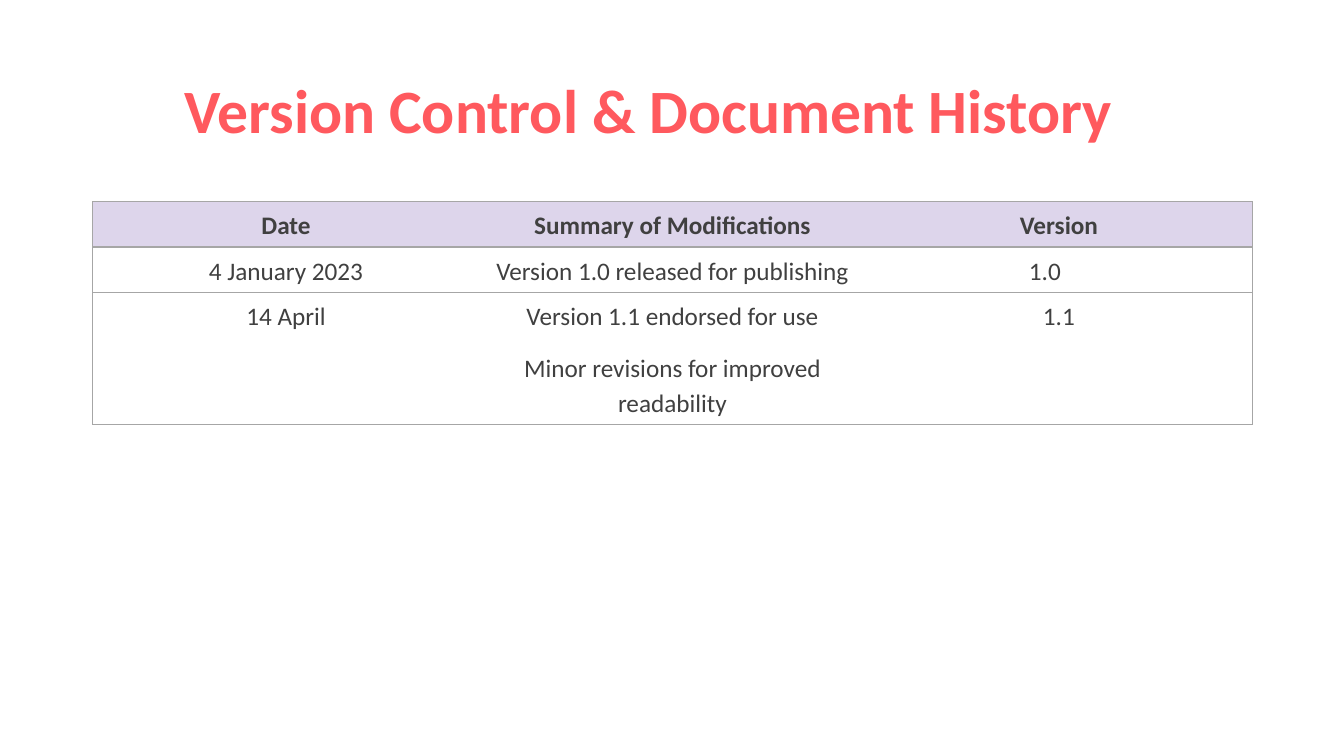
import pptx
import pptx.util
import pptx.dml.color
import pptx.enum.text
import pptx.oxml
import pptx.oxml.ns

# Content
TITLE = "Version Control & Document History"
HISTORY = [
    (["Date"], ["Summary of Modifications"], ["Version"]),
    (["4 January 2023"], ["Version 1.0 released for publishing"], ["1.0"]),
    (["14 April"],
     ["Version 1.1 endorsed for use", "Minor revisions for improved readability"],
     ["1.1"]),
]

# Look and layout
COLORS = {"title": "FF595E", "text": "404040", "header": "DDD5EB", "rule": "A6A6A6"}
FONT = "Calibri"
NO_STYLE = "{2D5ABB26-0587-4C30-8999-92F81FD0307C}"
SLIDE_W, SLIDE_H = pptx.util.Inches(13.33), pptx.util.Inches(7.5)
LEFT = pptx.util.Inches(0.92)
TABLE_TOP, TABLE_W = pptx.util.Inches(2), pptx.util.Inches(11.5)
ROW_HEIGHTS = [pptx.util.Inches(h) for h in (0.45, 0.45, 1.3)]
VERSION_INDENT = pptx.util.Inches(0.38)


def write(frame, lines, *, size, color, bold=False, spacing=1.0, gap=0):
    """Fill a text frame with centred paragraphs, spaced apart by gap."""
    for i, line in enumerate(lines):
        paragraph = frame.paragraphs[0] if i == 0 else frame.add_paragraph()
        paragraph.alignment = pptx.enum.text.PP_ALIGN.CENTER
        paragraph.line_spacing = spacing
        paragraph.space_before = pptx.util.Pt(gap if i else 0)
        paragraph.space_after = pptx.util.Pt(gap)
        run = paragraph.add_run()
        run.text = line
        run.font.name = FONT
        run.font.size = pptx.util.Pt(size)
        run.font.bold = bold
        run.font.color.rgb = pptx.dml.color.RGBColor.from_string(color)


def rule_cell(cell, sides):
    """Draw 1 pt lines on the given sides; call before setting the fill."""
    properties = cell._tc.get_or_add_tcPr()
    for side in sides:
        properties.append(pptx.oxml.parse_xml(
            f'<a:ln{side} {pptx.oxml.ns.nsdecls("a")} w="12700"><a:solidFill>'
            f'<a:srgbClr val="{COLORS["rule"]}"/></a:solidFill></a:ln{side}>'))


presentation = pptx.Presentation()
presentation.slide_width, presentation.slide_height = SLIDE_W, SLIDE_H
slide = presentation.slides.add_slide(presentation.slide_layouts[5])

# Title
title = slide.shapes.title
title.left, title.top = LEFT, pptx.util.Inches(0.4)
title.width, title.height = pptx.util.Inches(11.03), pptx.util.Inches(1.45)
title.text_frame.vertical_anchor = pptx.enum.text.MSO_ANCHOR.MIDDLE
write(title.text_frame, [TITLE], size=44, color=COLORS["title"], bold=True, spacing=0.9)

# Version history
column_count = len(HISTORY[0])
history_frame = slide.shapes.add_table(
    len(HISTORY), column_count, LEFT, TABLE_TOP, TABLE_W, sum(ROW_HEIGHTS))
history = history_frame.table
history.horz_banding = False
history._tbl.tblPr.find(pptx.oxml.ns.qn("a:tableStyleId")).text = NO_STYLE

for r, entry in enumerate(HISTORY):
    history.rows[r].height = ROW_HEIGHTS[r]
    for c, lines in enumerate(entry):
        cell = history.cell(r, c)
        left = ["L"] if c == 0 else []
        right = ["R"] if c == column_count - 1 else []
        rule_cell(cell, left + right + ["T", "B"])
        if r == 0:
            cell.fill.solid()
            cell.fill.fore_color.rgb = pptx.dml.color.RGBColor.from_string(COLORS["header"])
        else:
            cell.fill.background()
        write(cell.text_frame, lines, size=18, color=COLORS["text"],
              bold=r == 0, spacing=1.14, gap=6)

# The first release number sits a little left of centre
history.cell(1, column_count - 1).margin_right = VERSION_INDENT

presentation.save("out.pptx")
